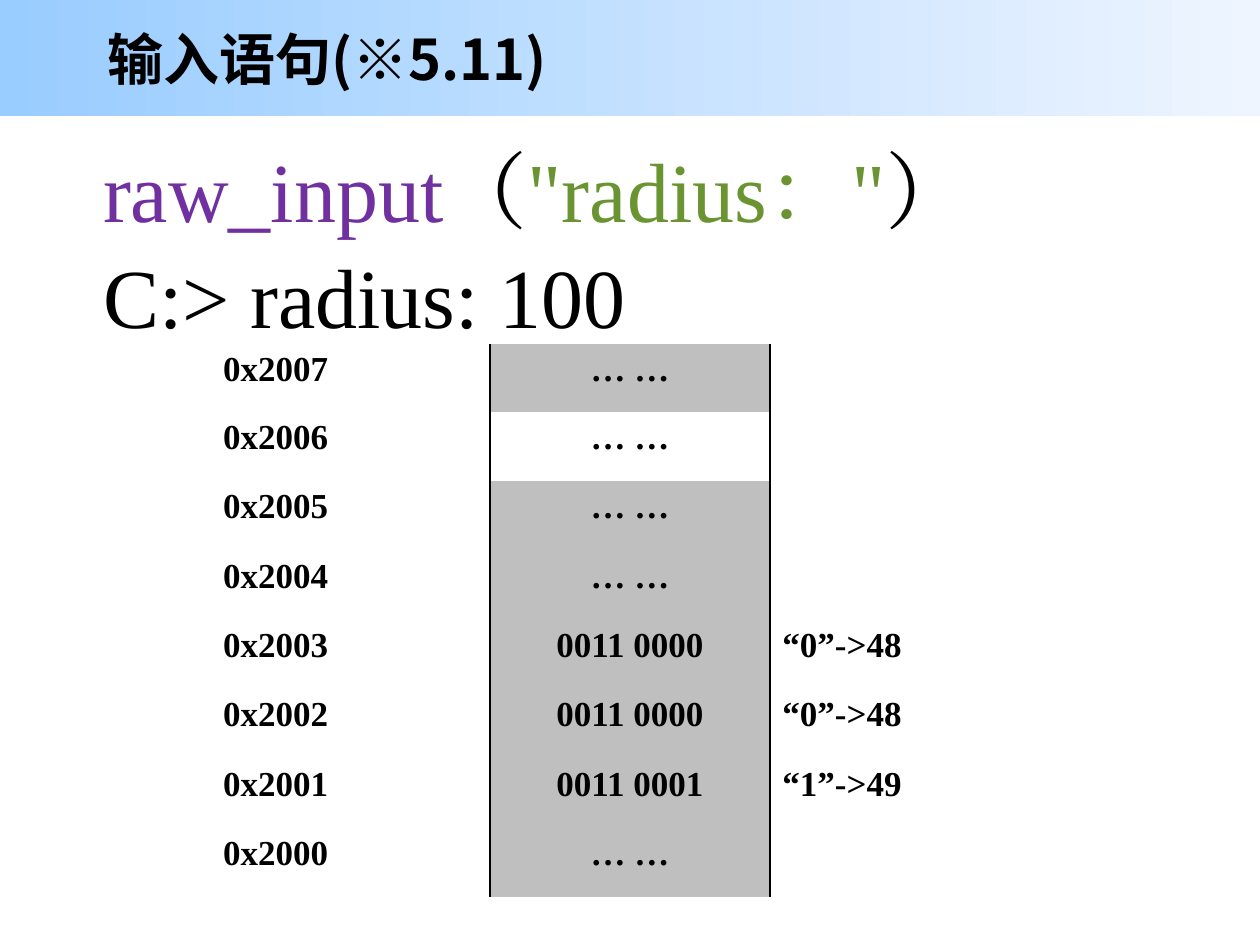
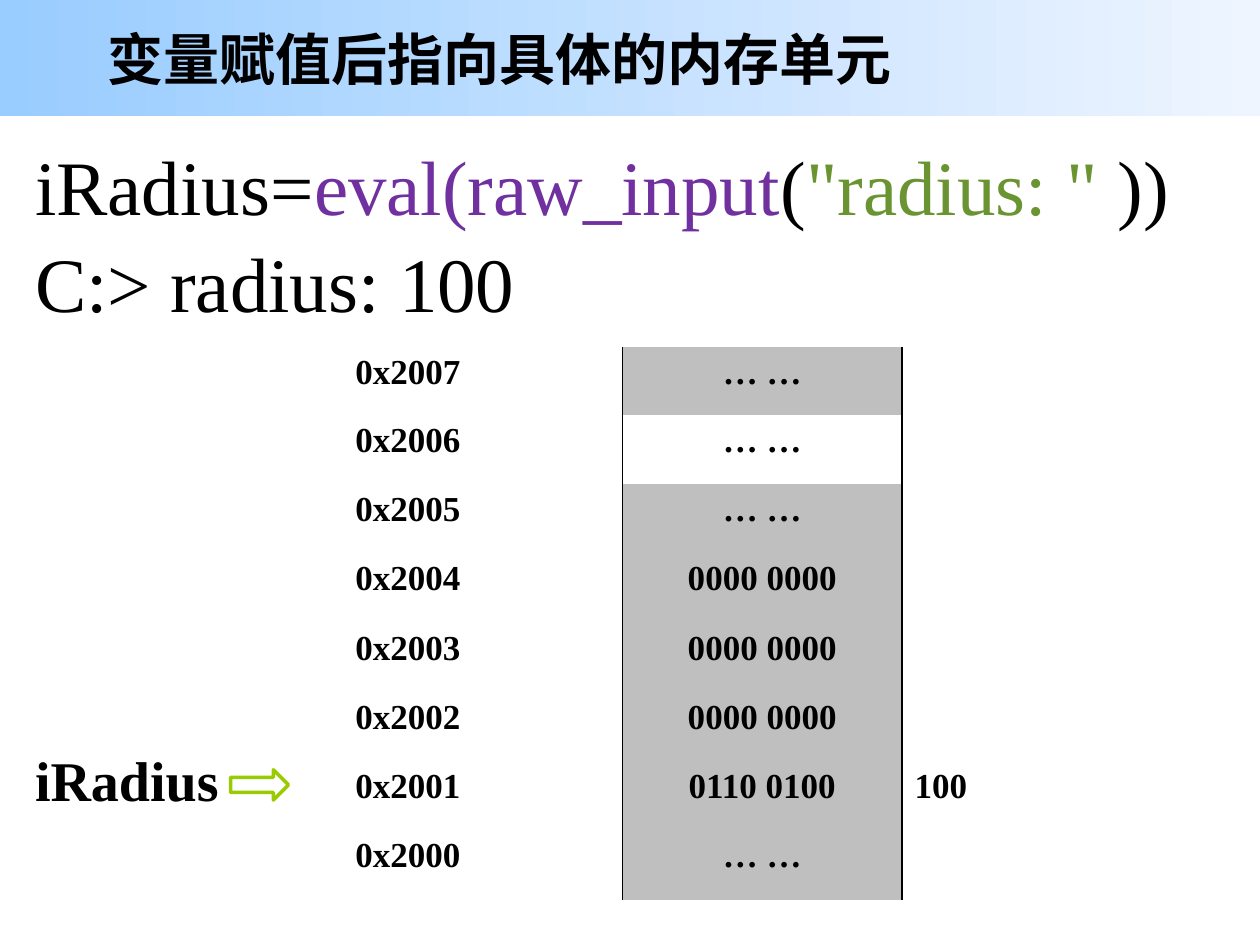
"""Build two slides showing how typed input is stored in memory cells."""
from lxml import etree
from pptx import Presentation
from pptx.dml.color import RGBColor
from pptx.enum.shapes import MSO_SHAPE
from pptx.enum.text import MSO_ANCHOR, PP_ALIGN
from pptx.oxml.ns import qn
from pptx.util import Inches, Pt

RECTANGLE, RIGHT_ARROW = MSO_SHAPE.RECTANGLE, MSO_SHAPE.RIGHT_ARROW
LEFT, CENTER, MIDDLE = PP_ALIGN.LEFT, PP_ALIGN.CENTER, MSO_ANCHOR.MIDDLE
BLACK = RGBColor(0x00, 0x00, 0x00)
WHITE = RGBColor(0xFF, 0xFF, 0xFF)
GREY = RGBColor(0xBF, 0xBF, 0xBF)
PURPLE = RGBColor(0x70, 0x30, 0xA0)
OLIVE = RGBColor(0x6A, 0x94, 0x32)
LIME = RGBColor(0x99, 0xCC, 0x00)
BAND_COLORS = RGBColor(0x99, 0xCC, 0xFF), RGBColor(0xEE, 0xF5, 0xFF)
SERIF, SANS = "Times New Roman", "Noto Sans CJK SC"
DOTS = "… …"


def write(para, text, size=20, color=BLACK, font=SERIF, bold=False, align=LEFT):
    para.alignment = align
    span = para.add_run()
    span.text = text
    span.font.size, span.font.bold, span.font.name = Pt(size), bold, font
    span.font.color.rgb = color
    etree.SubElement(span.font._element, qn("a:ea"), typeface=font)


def set_borders(cell, black_sides):
    properties = cell._tc.get_or_add_tcPr()
    for index, side in enumerate("LRTB"):
        line = etree.Element(qn(f"a:ln{side}"), w=str(Pt(1)))
        if side in black_sides:
            fill = etree.SubElement(line, qn("a:solidFill"))
            etree.SubElement(fill, qn("a:srgbClr"), val=str(BLACK))
        else:
            etree.SubElement(line, qn("a:noFill"))
        properties.insert(index, line)


SLIDES = [
    dict(
        title="输入语句(※5.11)",
        code_box=(0.72, 1.01, 8.66, 2.52), code_size=48,
        code=[("raw_input", PURPLE), ("（", BLACK), ('"radius："', OLIVE), ("）", BLACK)],
        table_at=(1.67, 2.73),
        cells=[DOTS] * 4 + ["0011 0000", "0011 0000", "0011 0001", DOTS],
        notes={4: "“0”->48", 5: "“0”->48", 6: "“1”->49"},
    ),
    dict(
        title="变量赋值后指向具体的内存单元",
        code_box=(0.18, 1.01, 9.82, 2.32), code_size=44,
        code=[("iRadius=", BLACK), ("eval(raw_input", PURPLE), ("(", BLACK),
              ('"radius: " ', OLIVE), ("))", BLACK)],
        table_at=(2.72, 2.75),
        cells=[DOTS] * 3 + ["0000 0000"] * 3 + ["0110 0100", DOTS],
        notes={6: "100"},
    ),
]

deck = Presentation()
deck.slide_width, deck.slide_height = Inches(10), Inches(7.5)
layout = deck.slide_layouts[5]

for content in SLIDES:
    page = deck.slides.add_slide(layout)
    title = page.shapes.title
    title.left, title.top = Inches(0.75), Inches(0.13)
    title.width, title.height = Inches(8.14), Inches(0.67)
    title.text_frame.vertical_anchor = MIDDLE
    write(title.text_frame.paragraphs[0], content["title"], size=32, font=SANS, bold=True)

    code_box = page.shapes.add_textbox(*map(Inches, content["code_box"])).text_frame
    code_box.word_wrap = True
    code_lines = [content["code"], [("C:> radius: 100", BLACK)]]
    for index, code_line in enumerate(code_lines):
        para = code_box.add_paragraph() if index else code_box.paragraphs[0]
        para.line_spacing = 1.05
        for text, color in code_line:
            write(para, text, size=content["code_size"], color=color)

    row_count = len(content["cells"])
    left, top = content["table_at"]
    memory = page.shapes.add_table(
        row_count, 3, Inches(left), Inches(top), Inches(6.67), Inches(4.38)).table
    for column in memory.columns:
        column.width = Inches(2.22)
    for index, value in enumerate(content["cells"]):
        memory.rows[index].height = Inches(0.55 if index else 0.54)
        address = f"0x{2000 + row_count - 1 - index}"
        texts = address, value, content["notes"].get(index, "")
        fills = WHITE, WHITE if index == 1 else GREY, WHITE
        aligns = LEFT, CENTER, LEFT
        for column, black_sides in enumerate(("R", "LR", "L")):
            cell = memory.cell(index, column)
            cell.fill.solid()
            cell.fill.fore_color.rgb = fills[column]
            set_borders(cell, black_sides)
            if texts[column]:
                write(cell.text_frame.paragraphs[0], texts[column],
                      bold=True, align=aligns[column])

variable_box = page.shapes.add_textbox(Inches(0.18), Inches(5.87), Inches(1.67), Inches(0.64))
variable_box.text_frame.word_wrap = False
write(variable_box.text_frame.paragraphs[0], "iRadius", size=32, bold=True)

arrow = page.shapes.add_shape(
    RIGHT_ARROW, Inches(1.83), Inches(6.11), Inches(0.46), Inches(0.24))
arrow.shadow.inherit = False
arrow.fill.background()
arrow.line.color.rgb = LIME
arrow.line.width = Pt(2)

band = page.shapes.add_shape(RECTANGLE, 0, 0, deck.slide_width, Inches(0.92))
band.shadow.inherit = False
band.line.fill.background()
band.fill.gradient()
band.fill.gradient_angle = 0
for stop, color in zip(band.fill.gradient_stops, BAND_COLORS):
    stop.color.rgb = color
layout.shapes.element.append(band.element)

deck.save("out.pptx")
